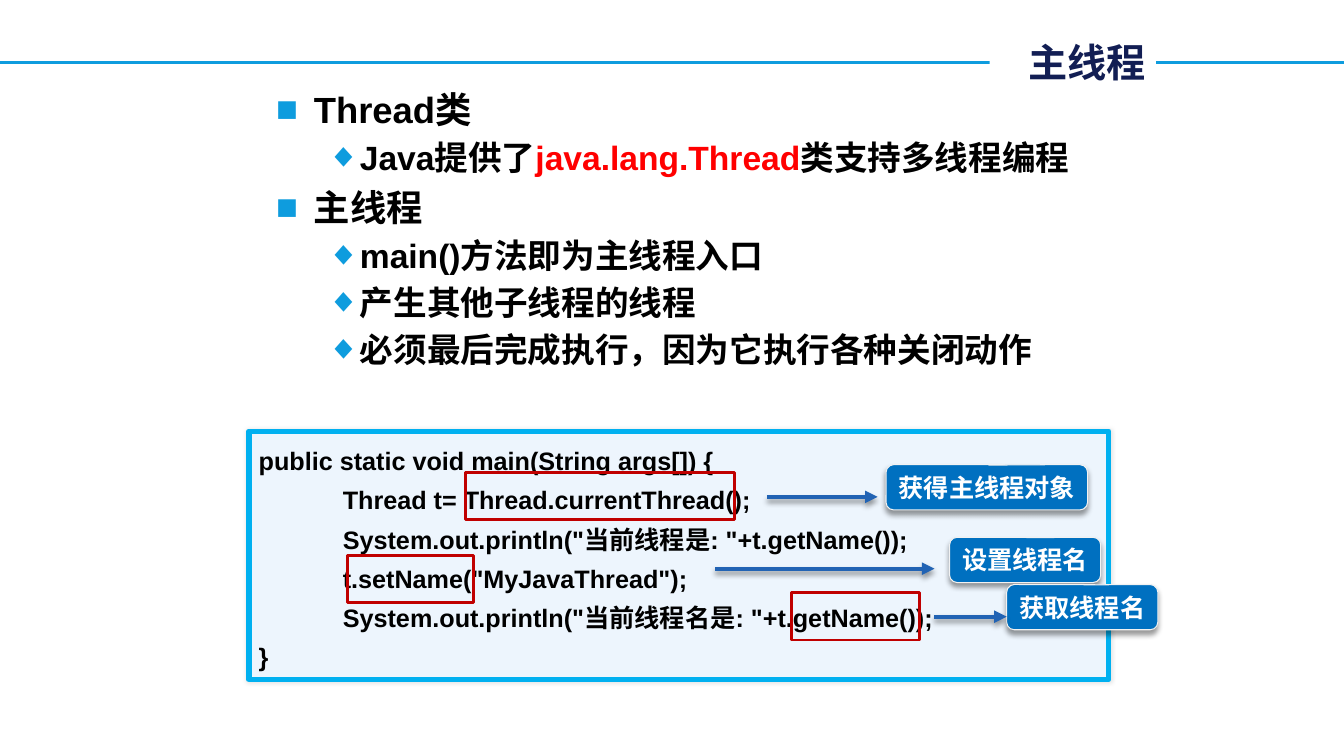
from lxml import etree
from pptx import Presentation
from pptx import util as u
from pptx.dml.color import RGBColor
from pptx.enum import shapes, text
from pptx.oxml.ns import qn

SLIDE_W, SLIDE_H = 33.87, 19.05
SKY, NAVY, RED, DARK_RED = "0E9CDE", "121E54", "FF0000", "C00000"
SOFT_SHADOW = dict(alpha=10, blur=3, dist=0, angle=0)
DROP_SHADOW = dict(alpha=40, blur=4, dist=3, angle=90)

OUTLINE = [
    (0, [("Thread类", "000000")]),
    (1, [("Java提供了", "000000"), ("java.lang.Thread", RED), ("类支持多线程编程", "000000")]),
    (0, [("主线程", "000000")]),
    (1, [("main()方法即为主线程入口", "000000")]),
    (1, [("产生其他子线程的线程", "000000")]),
    (1, [("必须最后完成执行，因为它执行各种关闭动作", "000000")]),
]
OUTLINE_LEVELS = [
    dict(size=26, margin=0.95, hanging=0.95, before=5.2, bullet="■"),
    dict(size=24, margin=2.06, hanging=0.79, before=4.8, bullet="◆"),
]
CODE = [
    (0, "public static void main(String args[]) {"),
    (2.12, "Thread t= Thread.currentThread();"),
    (2.12, 'System.out.println("当前线程是: "+t.getName());'),
    (2.12, 't.setName("MyJavaThread");'),
    (2.12, 'System.out.println("当前线程名是: "+t.getName());'),
    (0, "}"),
]
CALL_FRAMES = [(5.46, 1.04, 6.78), (2.49, 3.13, 3.18), (13.67, 4.07, 3.23)]
NOTES = [
    ("获得主线程对象", 16.06, 0.84, 5.08, (13.06, 15.85, 1.65)),
    ("设置线程名", 17.66, 2.67, 3.81, (11.76, 17.28, 3.46)),
    ("获取线程名", 19.1, 3.86, 3.81, (17.28, 19.1, 4.67)),
]


def color(value):
    """Turn a hex string into a colour."""
    return RGBColor.from_string(value)


def add_effects(part, shadow=None):
    """Set the outer shadow of a shape or connector, or none."""
    effects = etree.SubElement(part._element.spPr, qn("a:effectLst"))
    if shadow:
        outer = etree.SubElement(
            effects, qn("a:outerShdw"), blurRad=str(u.Pt(shadow["blur"])),
            dist=str(u.Pt(shadow["dist"])), dir=str(shadow["angle"] * 60000),
            algn="ctr", rotWithShape="0")
        black = etree.SubElement(outer, qn("a:srgbClr"), val="000000")
        etree.SubElement(black, qn("a:alpha"), val=str(shadow["alpha"] * 1000))


def add_panel(slide, kind, box, fill=None, line=None, width=1, shadow=None):
    """Add a preset shape with its fill, line and shadow."""
    panel = slide.shapes.add_shape(kind, *map(u.Cm, box))
    if fill:
        panel.fill.solid()
        panel.fill.fore_color.rgb = color(fill)
    else:
        panel.fill.background()
    if line:
        panel.line.color.rgb = color(line)
        panel.line.width = u.Pt(width)
    else:
        panel.line.fill.background()
    add_effects(panel, shadow)
    return panel


def add_rule(slide, start, end, tint, width, arrow=False, shadow=None):
    """Add a straight line, with an arrowhead if asked."""
    rule = slide.shapes.add_connector(
        shapes.MSO_CONNECTOR.STRAIGHT, *map(u.Cm, (*start, *end)))
    rule.line.color.rgb = color(tint)
    rule.line.width = u.Pt(width)
    if arrow:
        etree.SubElement(rule.line._get_or_add_ln(), qn("a:tailEnd"), type="triangle")
    add_effects(rule, shadow)


def write(frame, runs, size=18, font="Arial", align=text.PP_ALIGN.LEFT,
          margin=0, hanging=0, before=0, spacing=None, bullet=None):
    """Write one paragraph of (words, colour) runs into a text frame."""
    paragraph = frame.paragraphs[0]
    if paragraph.runs:
        paragraph = frame.add_paragraph()
    paragraph.alignment = align
    paragraph.space_before = u.Pt(before)
    if spacing:
        paragraph.line_spacing = spacing
    props = paragraph._p.get_or_add_pPr()
    props.set("marL", str(u.Cm(margin)))
    props.set("indent", str(-u.Cm(hanging)))
    if bullet:
        tint = etree.SubElement(props, qn("a:buClr"))
        etree.SubElement(tint, qn("a:srgbClr"), val=SKY)
        etree.SubElement(props, qn("a:buFont"), typeface="Arial")
        etree.SubElement(props, qn("a:buChar"), char=bullet)
    for words, tint in runs:
        run = paragraph.add_run()
        run.text = words
        run.font.size = u.Pt(size)
        run.font.bold = True
        run.font.name = font
        run.font.color.rgb = color(tint)
        etree.SubElement(run._r.get_or_add_rPr(), qn("a:ea"), typeface=font)


def draw_heading(slide, box):
    """Draw the rule across the slide and the title that interrupts it."""
    left, top, width, height = box
    middle = top + height / 2
    add_rule(slide, (0, middle), (SLIDE_W, middle), SKY, 2.25)
    title = add_panel(slide, shapes.MSO_SHAPE.RECTANGLE, box, "FFFFFF").text_frame
    title.vertical_anchor = text.MSO_ANCHOR.MIDDLE
    write(title, [("主线程", NAVY)], size=28, font="Noto Sans CJK SC",
          align=text.PP_ALIGN.RIGHT)


def draw_outline(slide, box):
    """Draw the two-level bullet list."""
    outline = slide.shapes.add_textbox(*map(u.Cm, box)).text_frame
    outline.word_wrap = True
    for level, runs in OUTLINE:
        write(outline, runs, **OUTLINE_LEVELS[level])


def draw_note(slide, words, box):
    """Draw one blue label."""
    note = add_panel(slide, shapes.MSO_SHAPE.ROUNDED_RECTANGULAR_CALLOUT, box,
                     "0070C0", "F2F2F2", 0.75, DROP_SHADOW)
    for index, value in enumerate((0.01, -0.49, 0.17)):
        note.adjustments[index] = value
    note.text_frame.word_wrap = False
    note.text_frame.vertical_anchor = text.MSO_ANCHOR.MIDDLE
    write(note.text_frame, [(words, "FFFFFF")], align=text.PP_ALIGN.CENTER)


def draw_code(slide, box):
    """Draw the code listing with its framed calls, arrows and labels."""
    left, top = box[:2]
    listing = add_panel(slide, shapes.MSO_SHAPE.ROUNDED_RECTANGLE, box,
                        "EDF5FD", "00B0F0", 4, SOFT_SHADOW)
    listing.adjustments[0] = 0
    listing.text_frame.word_wrap = True
    listing.text_frame.vertical_anchor = text.MSO_ANCHOR.TOP
    for margin, words in CODE:
        write(listing.text_frame, [(words, "000000")], margin=margin, spacing=1.3)
    for x, y, width in CALL_FRAMES:
        add_panel(slide, shapes.MSO_SHAPE.RECTANGLE,
                  (left + x, top + y, width, 1.19), line=DARK_RED, width=2)
    for words, x, y, width, (start, end, level) in NOTES:
        draw_note(slide, words, (left + x, top + y, width, 1.14))
        add_rule(slide, (left + start, top + level), (left + end, top + level),
                 "2163B4", 3, arrow=True, shadow=DROP_SHADOW)


def main():
    """Build the slide and save it."""
    deck = Presentation()
    deck.slide_width, deck.slide_height = u.Cm(SLIDE_W), u.Cm(SLIDE_H)
    slide = deck.slides.add_slide(deck.slide_layouts[6])
    draw_heading(slide, (24.94, 0.84, 4.19, 1.45))
    draw_outline(slide, (6.71, 2.06, 21.23, 14.27))
    draw_code(slide, (6.27, 10.87, 21.67, 6.25))
    deck.save("out.pptx")


if __name__ == "__main__":
    main()
